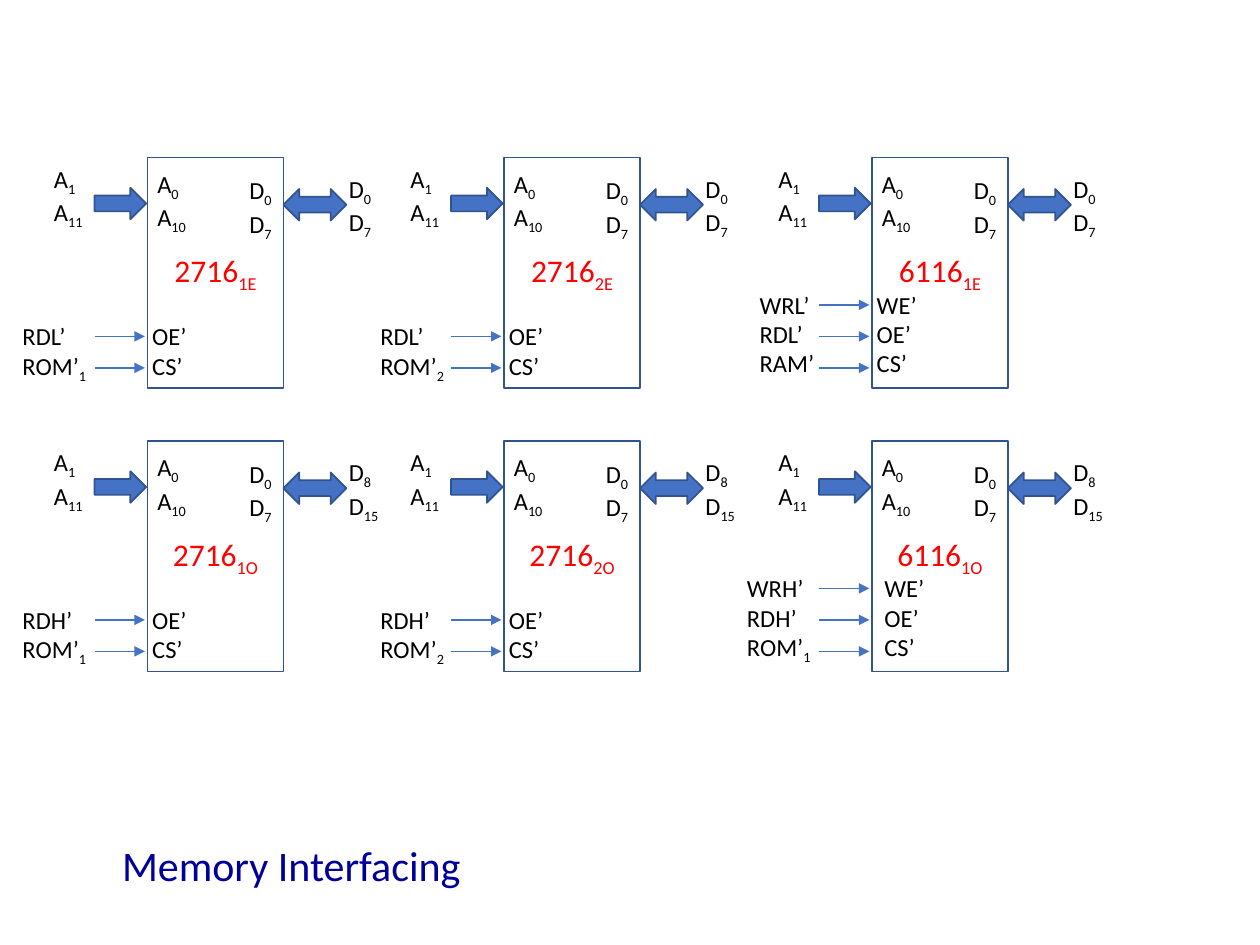
from lxml import etree
from pptx import Presentation
from pptx.dml.color import RGBColor
from pptx.enum import shapes, text
from pptx.oxml.ns import qn
from pptx.util import Inches, Pt

BLUE = RGBColor(0x44, 0x72, 0xC4)
EDGE = RGBColor(0x31, 0x53, 0x8F)
RED = RGBColor(0xFF, 0, 0)
NAVY = RGBColor(0, 0, 0x99)
BLACK = RGBColor(0, 0, 0)
KIND = shapes.MSO_SHAPE

COLS = [1.17, 4, 6.92]
ROWS = [1.25, 3.5]
WIDE, HIGH = 1.08, 1.83
STEP = 0.25
ROM_PINS = ["OE’", "CS’"]
RAM_PINS = ["WE’"] + ROM_PINS

# name, column, row, labels, label offset, label width, pins, pin offset
CHIPS = [
    ("2716_1E", 0, 0, ["RDL’", "ROM’_1"], -1.09, 0.72, ROM_PINS, -0.06),
    ("2716_1O", 0, 1, ["RDH’", "ROM’_1"], -1.09, 0.72, ROM_PINS, -0.06),
    ("2716_2E", 1, 0, ["RDL’", "ROM’_2"], -1.08, 0.73, ROM_PINS, -0.06),
    ("2716_2O", 1, 1, ["RDH’", "ROM’_2"], -1.08, 0.73, ROM_PINS, -0.06),
    ("6116_1E", 2, 0, ["WRL’", "RDL’", "RAM’"], -0.99, 0.65, RAM_PINS, -0.06),
    ("6116_1O", 2, 1, ["WRH’", "RDH’", "ROM’_1"], -1.09, 0.73, RAM_PINS, 0),
]
BUSES = [["D_0", "D_7"], ["D_8", "D_15"]]


def write(para, words, size, color):
    main, _, sub = words.partition("_")
    para.add_run().text = main
    if sub:
        run = para.add_run()
        run.text = sub
        run._r.get_or_add_rPr().set("baseline", "-25000")
    para.font.name = "Calibri"
    para.font.size = Pt(size)
    para.font.color.rgb = color


def add_text(slide, x, y, wide, lines, size=14, color=BLACK, wrap=False):
    high = 0.1 + len(lines) * size * 0.017
    box = slide.shapes.add_textbox(Inches(x), Inches(y), Inches(wide), Inches(high))
    frame = box.text_frame
    frame.word_wrap = wrap
    frame.auto_size = text.MSO_AUTO_SIZE.SHAPE_TO_FIT_TEXT
    for i, line in enumerate(lines):
        para = frame.add_paragraph() if i else frame.paragraphs[0]
        write(para, line, size, color)


def add_block(slide, kind, x, y, wide, high, fill=None):
    block = slide.shapes.add_shape(kind, Inches(x), Inches(y), Inches(wide), Inches(high))
    block.shadow.inherit = False
    if fill is None:
        block.fill.background()
    else:
        block.fill.solid()
        block.fill.fore_color.rgb = fill
    block.line.color.rgb = EDGE
    block.line.width = Pt(1)
    return block


def add_wire(slide, x, y, end):
    wire = slide.shapes.add_connector(
        shapes.MSO_CONNECTOR.STRAIGHT, Inches(x), Inches(y), Inches(end), Inches(y))
    wire.line.color.rgb = BLUE
    wire.line.width = Pt(0.75)
    line = wire.line._get_or_add_ln()
    etree.SubElement(line, qn("a:tailEnd"), type="triangle")
    etree.SubElement(wire._element.spPr, qn("a:effectLst"))


def add_chip(slide, name, col, row, labels, left, wide, pins, inset):
    x, y = COLS[col], ROWS[row]
    body = add_block(slide, KIND.RECTANGLE, x, y, WIDE, HIGH)
    body.text_frame.vertical_anchor = text.MSO_ANCHOR.MIDDLE
    para = body.text_frame.paragraphs[0]
    para.alignment = text.PP_ALIGN.CENTER
    write(para, name, 18, RED)

    add_block(slide, KIND.LEFT_RIGHT_ARROW, x + WIDE, y + 0.25, 0.5, 0.25, BLUE)
    add_text(slide, x + 0.71, y + 0.09, 0.41, ["D_0", "D_7"])
    add_text(slide, x + 1.5, y + 0.08, 0.48 if row else 0.41, BUSES[row])
    add_block(slide, KIND.RIGHT_ARROW, x - 0.42, y + 0.24, 0.41, 0.25, BLUE)
    add_text(slide, x - 0.02, y + 0.04, 0.46, ["A_0", "A_10"])
    add_text(slide, x - 0.84, y, 0.46, ["A_1", "A_11"])

    top = y + 1.75 - STEP * len(pins)
    add_text(slide, x + inset, top, 0.55 if len(pins) == 3 else 0.51, pins)
    add_text(slide, x + left, top, wide, labels)
    for i in range(len(pins)):
        add_wire(slide, x - 0.42, top + 0.17 + STEP * i, x - 0.02)


def main():
    deck = Presentation()
    deck.slide_width, deck.slide_height = Inches(10), Inches(7.5)
    slide = deck.slides.add_slide(deck.slide_layouts[6])
    for chip in CHIPS:
        add_chip(slide, *chip)
    add_text(slide, 0.87, 6.61, 4.32, ["Memory Interfacing"], 24, NAVY, True)
    deck.save("out.pptx")


if __name__ == "__main__":
    main()
